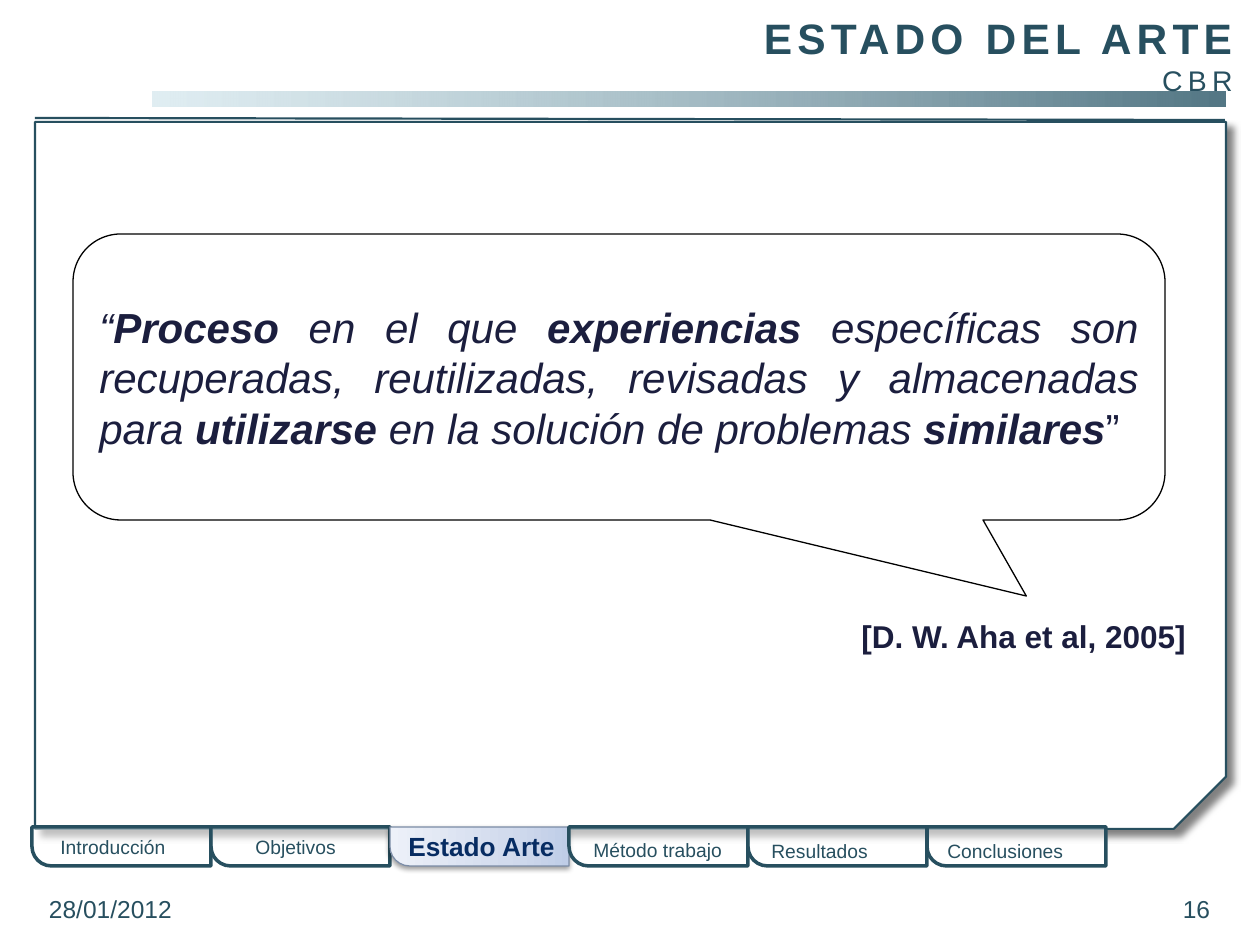
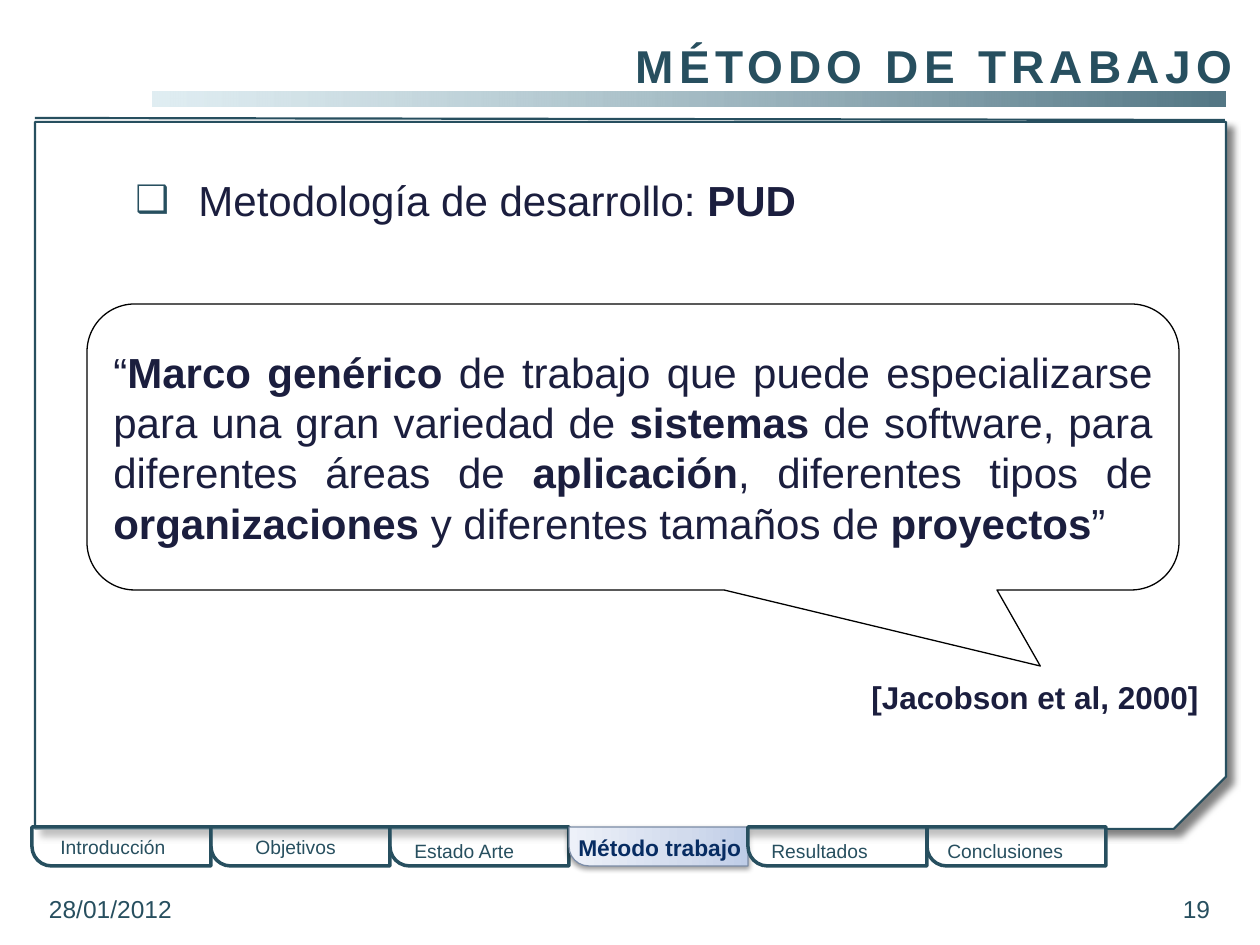
import pptx
import pptx.dml.color
import pptx.enum.shapes
import pptx.enum.text
import pptx.oxml
import pptx.oxml.ns
import pptx.util
from lxml import etree

RGB = pptx.dml.color.RGBColor
SHAPE = pptx.enum.shapes.MSO_SHAPE
ALIGN = pptx.enum.text.PP_ALIGN
MIDDLE = pptx.enum.text.MSO_ANCHOR.MIDDLE
Pt = pptx.util.Pt
qn = pptx.oxml.ns.qn

FONT = "Arial"
WHITE = RGB(0xFF, 0xFF, 0xFF)
BLACK = RGB(0x00, 0x00, 0x00)
TEAL = RGB(0x27, 0x4F, 0x5F)
TEAL_MID = RGB(0x54, 0x77, 0x85)
TEAL_PALE = RGB(0xD0, 0xE5, 0xEC)
INK = RGB(0x1B, 0x1E, 0x3E)
NAVY = RGB(0x07, 0x2C, 0x62)
TAB_EDGE = RGB(0x7B, 0x8C, 0xA6)
TAB_BLUES = [(0, RGB(0xBF, 0xCD, 0xE7), 100), (35, RGB(0xD2, 0xDB, 0xED), 100),
             (100, RGB(0xED, 0xF1, 0xF9), 100)]
BAND_TEALS = [(0, TEAL_PALE, 66), (100, TEAL_MID, 100)]

DATE = "28/01/2012"
# Section name, then left and top of its label
SECTIONS = [
    ("Introducción", 48, 829), ("Objetivos", 243, 829), ("Estado Arte", 402, 833),
    ("Método trabajo", 581, 832), ("Resultados", 759, 833), ("Conclusiones", 935, 833),
]
# Bold words stand between ** marks
SLIDES = [
    {
        "title": [("ESTADO DEL ARTE", 24.3, True), ("CBR", 16.2, False)],
        "title_top": 0,
        "number": "16",
        "section": "Estado Arte",
        "section_label": (396, 824, 15),
        "quote": "“**Proceso **en el que **experiencias** específicas son recuperadas, "
                 "reutilizadas, revisadas y almacenadas para **utilizarse** en la solución "
                 "de problemas **similares**”",
        "quote_at": (73, 234),
        "italic": True,
        "author": "[D. W. Aha et al, 2005]",
        "author_at": (849, 611),
    },
    {
        "title": [("MÉTODO DE TRABAJO", 26.3, True)],
        "title_top": 26,
        "number": "19",
        "section": "Método trabajo",
        "section_label": (566, 828, 13),
        "quote": "“**Marco genérico **de trabajo que puede especializarse para una gran "
                 "variedad de **sistemas** de software, para diferentes áreas de "
                 "**aplicación**, diferentes tipos de **organizaciones** y diferentes "
                 "tamaños de **proyectos**”",
        "quote_at": (87, 304),
        "italic": False,
        "author": "[Jacobson et al, 2000]",
        "author_at": (859, 672),
        "bullet": "Metodología de desarrollo: **PUD**",
    },
]

SLIDE_W, SLIDE_H = 1260, 945
BAND = (153, 92, 1073, 15)
PANEL = (35, 122, 1191, 707)
RULE = (35, 118, 1225, 120)
TAB_LEFT, TAB_TOP, TAB_W, TAB_H = 32, 827, 179, 39
TITLE_LEFT, TITLE_W, TITLE_BOTTOM = 154, 1091, 89
FOOTER_TOP, FOOTER_W, FOOTER_H = 890, 294, 37
DATE_LEFT, NUMBER_LEFT = 34, 931
QUOTE_SIZE = (1092, 286)
BULLET = (123, 168, 992, 63)
BULLET_INDENT = 63


def px(length):
    return round(length * 914400 / 126)


def set_gradient(shape, stops, angle):
    shape.fill.gradient()
    shape.fill.gradient_angle = angle
    stop_list = shape.element.spPr.find(".//" + qn("a:gsLst"))
    for stop in list(stop_list):
        stop_list.remove(stop)
    for position, color, alpha in stops:
        stop = etree.SubElement(stop_list, qn("a:gs"), pos=str(position * 1000))
        swatch = etree.SubElement(stop, qn("a:srgbClr"), val=str(color))
        etree.SubElement(swatch, qn("a:alpha"), val=str(alpha * 1000))


def cast_shadow(shape, alpha, blur, distance, angle):
    effects = shape.element.spPr.find(qn("a:effectLst"))
    shadow = etree.SubElement(effects, qn("a:outerShdw"), blurRad=str(Pt(blur)),
                              dist=str(Pt(distance)), dir=str(angle * 60000),
                              algn="tl", rotWithShape="0")
    color = etree.SubElement(shadow, qn("a:srgbClr"), val=str(BLACK))
    etree.SubElement(color, qn("a:alpha"), val=str(alpha * 1000))


def add_shape(slide, preset, box, line=None, width=0, fill=WHITE, adjustments=()):
    shape = slide.shapes.add_shape(preset, *map(px, box))
    shape.shadow.inherit = False
    shape.fill.solid()
    shape.fill.fore_color.rgb = fill
    if line is None:
        shape.line.fill.background()
    else:
        shape.line.color.rgb = line
        shape.line.width = Pt(width)
    for index, value in enumerate(adjustments):
        shape.adjustments[index] = value
    return shape


def flip(shape, axis):
    shape.element.spPr.find(qn("a:xfrm")).set("flip" + axis, "1")


def write(paragraph, text, size, color, bold=None, align=ALIGN.LEFT):
    """Fill a paragraph, turning the parts between ** marks bold."""
    paragraph.alignment = align
    paragraph.font.name = FONT
    paragraph.font.size = Pt(size)
    paragraph.font.color.rgb = color
    paragraph.font.bold = bold
    for index, part in enumerate(text.split("**")):
        if part:
            run = paragraph.add_run()
            run.text = part
            if index % 2:
                run.font.bold = True


def add_text(slide, box, text, size, color, **style):
    frame = slide.shapes.add_textbox(*map(px, box)).text_frame
    frame.word_wrap = True
    write(frame.paragraphs[0], text, size, color, **style)
    return frame


def add_frame(slide):
    band = add_shape(slide, SHAPE.RECTANGLE, BAND)
    set_gradient(band, BAND_TEALS, 0)
    panel = add_shape(slide, SHAPE.SNIP_1_RECTANGLE, PANEL, TEAL, 1.25, adjustments=[0.074])
    flip(panel, "V")
    cast_shadow(panel, 50, 4, 5, 45)
    rule = slide.shapes.add_connector(pptx.enum.shapes.MSO_CONNECTOR.STRAIGHT, *map(px, RULE))
    rule.line.color.rgb = TEAL
    rule.line.width = Pt(1.25)
    etree.SubElement(rule.element.spPr, qn("a:effectLst"))


def add_tab(slide, index, active):
    """Draw an upright preset turned a quarter so its round corner is bottom left."""
    center_x = TAB_LEFT + index * TAB_W + TAB_W / 2
    center_y = TAB_TOP + TAB_H / 2
    box = (center_x - TAB_H / 2, center_y - TAB_W / 2, TAB_H, TAB_W)
    line, width = (TAB_EDGE, 0.75) if active else (TEAL, 2)
    tab = add_shape(slide, SHAPE.ROUND_1_RECTANGLE, box, line, width, adjustments=[0.5])
    flip(tab, "H")
    tab.rotation = 270
    if active:
        set_gradient(tab, TAB_BLUES, 90)
        cast_shadow(tab, 38, 3.1, 1.6, 90)
    else:
        color = tab.element.spPr.find(qn("a:solidFill")).find(qn("a:srgbClr"))
        etree.SubElement(color, qn("a:alpha"), val="50000")


def add_tabs(slide, content):
    for index, (name, left, top) in enumerate(SECTIONS):
        active = name == content["section"]
        add_tab(slide, index, active)
        size, color = 11, TEAL
        if active:
            left, top, size = content["section_label"]
            color = NAVY
        add_text(slide, (left, top, 192, 37), name, size, color, bold=active)


def add_footer(slide, number):
    for left, text, align in [(DATE_LEFT, DATE, ALIGN.LEFT), (NUMBER_LEFT, number, ALIGN.RIGHT)]:
        frame = add_text(slide, (left, FOOTER_TOP, FOOTER_W, FOOTER_H), text, 14, TEAL, align=align)
        frame.vertical_anchor = MIDDLE
        frame.margin_left = frame.margin_right = px(15)
        frame.margin_top = frame.margin_bottom = px(8)


def add_title(slide, lines, top):
    box = (TITLE_LEFT, top, TITLE_W, TITLE_BOTTOM - top)
    frame = slide.shapes.add_textbox(*map(px, box)).text_frame
    frame.word_wrap = True
    frame.margin_top = px(12)
    for index, (text, size, bold) in enumerate(lines):
        paragraph = frame.add_paragraph() if index else frame.paragraphs[0]
        write(paragraph, text, size, TEAL, bold, ALIGN.RIGHT)
        for run in paragraph.runs:
            run.font.bold = bold
            run.font._element.set("spc", "300") if hasattr(run.font, "_element") else \
                run._r.get_or_add_rPr().set("spc", "300")


def add_quote(slide, content):
    callout = add_shape(slide, SHAPE.ROUNDED_RECTANGULAR_CALLOUT,
                        content["quote_at"] + QUOTE_SIZE, BLACK, 0.75,
                        adjustments=[0.373, 0.766, 0.167])
    frame = callout.text_frame
    frame.word_wrap = True
    frame.vertical_anchor = MIDDLE
    quote = frame.paragraphs[0]
    write(quote, content["quote"], 24, INK, align=ALIGN.JUSTIFY)
    quote.font.italic = content["italic"]
    quote.runs[-1].font.italic = False
    left, top = content["author_at"]
    author = add_text(slide, (left, top, SLIDE_W - left, 50), content["author"], 18, INK, bold=True)
    author.paragraphs[0].space_before = Pt(4)


def add_bullet(slide, text):
    paragraph = add_text(slide, BULLET, text, 24, INK, align=ALIGN.JUSTIFY).paragraphs[0]
    paragraph.space_before = Pt(4)
    properties = paragraph._p.get_or_add_pPr()
    properties.set("marL", str(px(BULLET_INDENT)))
    properties.set("indent", str(-px(BULLET_INDENT)))
    color = etree.Element(qn("a:buClr"))
    etree.SubElement(color, qn("a:srgbClr"), val=str(TEAL))
    marks = [color, etree.Element(qn("a:buSzPct"), val="90000"),
             etree.Element(qn("a:buFont"), typeface=FONT),
             etree.Element(qn("a:buChar"), char="❑")]
    for mark in marks:
        properties.find(qn("a:defRPr")).addprevious(mark)


def main():
    deck = pptx.Presentation()
    deck.slide_width, deck.slide_height = px(SLIDE_W), px(SLIDE_H)
    for content in SLIDES:
        slide = deck.slides.add_slide(deck.slide_layouts[6])
        add_frame(slide)
        add_tabs(slide, content)
        add_footer(slide, content["number"])
        add_title(slide, content["title"], content["title_top"])
        add_quote(slide, content)
        if "bullet" in content:
            add_bullet(slide, content["bullet"])
    deck.save("out.pptx")


if __name__ == "__main__":
    main()
